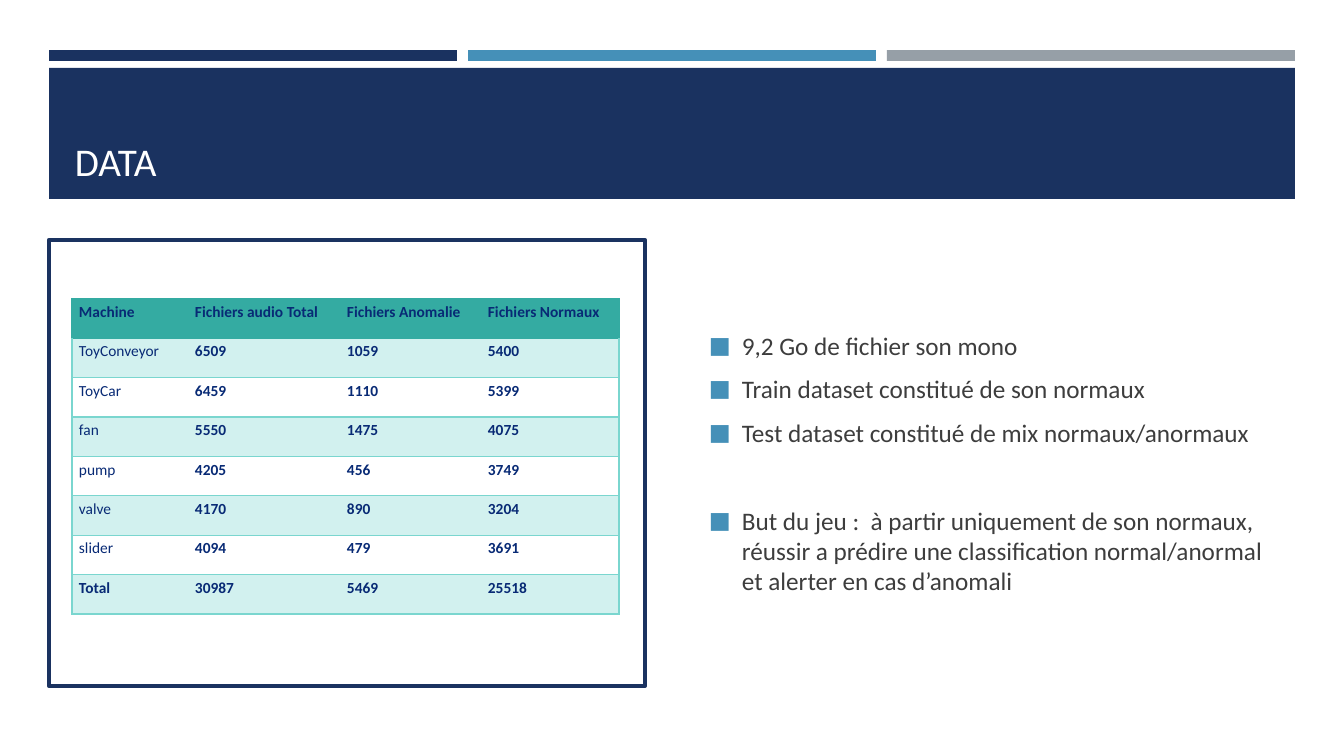
from lxml import etree
from pptx import Presentation
from pptx import util as u
from pptx.dml.color import RGBColor
from pptx.enum import shapes, text
from pptx.oxml import ns

SCALE = 914400 / 100.8
FONT = "Calibri"
HUE = {
    "navy": "1A3260", "blue": "4590B8", "grey": "969FA7", "white": "FFFFFF",
    "body": "3D3D3D", "ink": "082A75", "teal": "34ABA2", "rule": "7AD6CF",
    "mint": "D2F1EF",
}
BARS = ["navy", "blue", "grey"]
COLS = [116, 152, 141, 138]
ROWS = [
    ["Machine", "Fichiers audio Total", "Fichiers Anomalie", "Fichiers Normaux"],
    ["ToyConveyor", "6509", "1059", "5400"],
    ["ToyCar", "6459", "1110", "5399"],
    ["fan", "5550", "1475", "4075"],
    ["pump", "4205", "456", "3749"],
    ["valve", "4170", "890", "3204"],
    ["slider", "4094", "479", "3691"],
    ["Total", "30987", "5469", "25518"],
]
# Each point with its space before, in points
POINTS = [
    ("9,2 Go de fichier son mono", 0),
    ("Train dataset constitué de son normaux", 3.6),
    ("Test dataset constitué de mix normaux/anormaux", 3.6),
    ("But du jeu :  à partir uniquement de son normaux, réussir a prédire "
     "une classification normal/anormal et alerter en cas d’anomali", 35),
]


def px(n):
    return u.Emu(round(n * SCALE))


def rgb(hue):
    return RGBColor.from_string(HUE[hue])


def add_rect(slide, x, y, w, h, fill, line=None):
    box = slide.shapes.add_shape(
        shapes.MSO_SHAPE.RECTANGLE, px(x), px(y), px(w), px(h))
    box.shadow.inherit = False
    box.fill.solid()
    box.fill.fore_color.rgb = rgb(fill)
    if line:
        box.line.color.rgb = rgb(line)
        box.line.width = u.Pt(3)
    else:
        box.line.fill.background()


def add_run(para, words, size, hue, bold=False):
    run = para.add_run()
    run.text = words
    run.font.name = FONT
    run.font.size = u.Pt(size)
    run.font.bold = bold
    run.font.color.rgb = rgb(hue)


def add_box(slide, x, y, w, h, anchor):
    frame = slide.shapes.add_textbox(px(x), px(y), px(w), px(h)).text_frame
    frame.word_wrap = True
    frame.vertical_anchor = anchor
    return frame


def add_mark(para):
    props = para._p.get_or_add_pPr()
    props.set("marL", str(px(33)))
    props.set("indent", str(px(-33)))
    tint = etree.SubElement(props, ns.qn("a:buClr"))
    etree.SubElement(tint, ns.qn("a:srgbClr"), val=HUE["blue"])
    etree.SubElement(props, ns.qn("a:buSzPct"), val="92000")
    etree.SubElement(props, ns.qn("a:buFont"), typeface=FONT)
    etree.SubElement(props, ns.qn("a:buChar"), char="■")


def add_list(slide, frame):
    for i, (words, gap) in enumerate(POINTS):
        para = frame.add_paragraph() if i else frame.paragraphs[0]
        add_mark(para)
        para.space_before = u.Pt(gap)
        para.space_after = u.Pt(6)
        add_run(para, words, 18, "body")


def set_edge(cell, side, hue):
    edge = etree.SubElement(
        cell._tc.get_or_add_tcPr(), ns.qn("a:ln" + side), w=str(u.Pt(1)))
    if hue:
        fill = etree.SubElement(edge, ns.qn("a:solidFill"))
        etree.SubElement(fill, ns.qn("a:srgbClr"), val=HUE[hue])
    else:
        etree.SubElement(edge, ns.qn("a:noFill"))


def fill_cell(cell, words, r, c):
    # Outer edges and row rules, with no inner uprights
    line = "rule" if r else "teal"
    set_edge(cell, "L", line if c == 0 else None)
    set_edge(cell, "R", line if c == len(COLS) - 1 else None)
    set_edge(cell, "T", "rule" if r > 1 else "teal")
    set_edge(cell, "B", line)
    # Header and banded rows
    if r % 2 or r == 0:
        cell.fill.solid()
        cell.fill.fore_color.rgb = rgb("mint" if r else "teal")
    else:
        cell.fill.background()
    cell.margin_left = cell.margin_right = px(7)
    cell.margin_top, cell.margin_bottom = px(1), 0
    para = cell.text_frame.paragraphs[0]
    para.alignment = text.PP_ALIGN.JUSTIFY
    para.line_spacing = 1.15
    bold = c > 0 or r in (0, len(ROWS) - 1)
    add_run(para, words, 11, "ink", bold)


def add_grid(slide, x, y, h):
    grid = slide.shapes.add_table(
        len(ROWS), len(COLS), px(x), px(y), px(sum(COLS)), px(h)).table
    grid.horz_banding = False
    for col, w in zip(grid.columns, COLS):
        col.width = px(w)
    for r, row in enumerate(ROWS):
        for c, words in enumerate(row):
            fill_cell(grid.cell(r, c), words, r, c)


def main():
    deck = Presentation()
    deck.slide_width, deck.slide_height = px(1344), px(756)
    slide = deck.slides.add_slide(deck.slide_layouts[6])

    # Top bars and title band
    for i, hue in enumerate(BARS):
        add_rect(slide, 49 + 419 * i, 50, 408, 11, hue)
    add_rect(slide, 49, 68, 1246, 131, "navy")
    title = add_box(slide, 65, 77, 1215, 112, text.MSO_ANCHOR.BOTTOM)
    add_run(title.paragraphs[0], "DATA", 28, "white")

    # Framed table
    add_rect(slide, 49, 240, 596, 446, "white", "navy")
    add_grid(slide, 72, 299, 315)

    # Key points
    body = add_box(slide, 699, 240, 581, 446, text.MSO_ANCHOR.MIDDLE)
    add_list(slide, body)

    deck.save("out.pptx")


if __name__ == "__main__":
    main()
